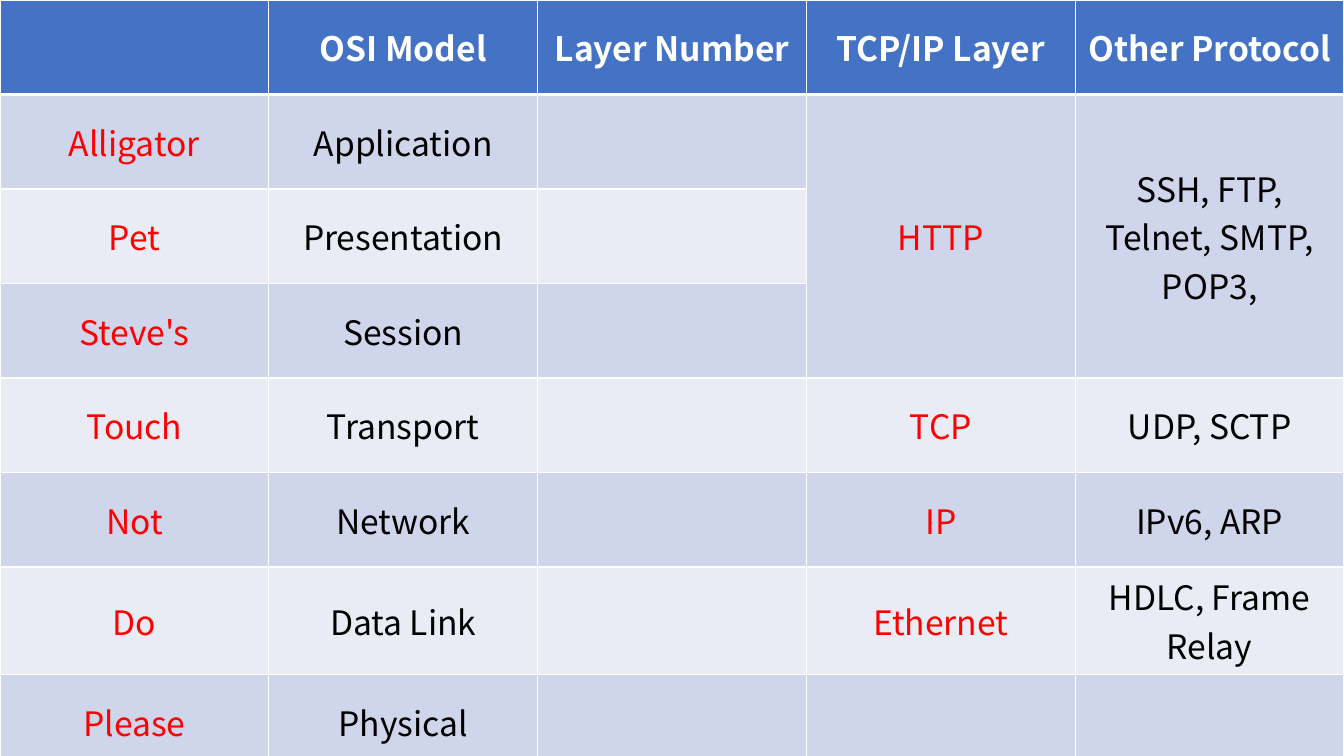
"""Build a one-slide table that matches OSI layers with TCP/IP layers."""
from dataclasses import dataclass

from lxml import etree
from pptx import Presentation
from pptx import util as u
from pptx.dml import color
from pptx.enum import text
from pptx.oxml import ns


@dataclass(frozen=True)
class Theme:
    font: str = "Noto Sans CJK KR"
    size: int = 24
    header: str = "4472C4"
    bands: tuple = ("E9EBF5", "CFD5EA")
    white: str = "FFFFFF"
    black: str = "000000"
    accent: str = "FF0000"
    thin: int = 1
    thick: int = 3


THEME = Theme()
ROWS = [
    ["", "OSI Model", "Layer Number", "TCP/IP Layer", "Other Protocol"],
    ["Alligator", "Application", "", "HTTP", "SSH, FTP, Telnet, SMTP, POP3,"],
    ["Pet", "Presentation", "", "", ""],
    ["Steve's", "Session", "", "", ""],
    ["Touch", "Transport", "", "TCP", "UDP, SCTP"],
    ["Not", "Network", "", "IP", "IPv6, ARP"],
    ["Do", "Data Link", "", "Ethernet", "HDLC, Frame Relay"],
    ["Please", "Physical", "", "", ""],
]
ACCENT_COLUMNS = (0, 3)
MERGED_COLUMNS = (3, 4)
WIDTH, HEIGHT = u.Cm(33.87), u.Cm(19.05)


def add_border(cell, side, points):
    properties = cell._tc.get_or_add_tcPr()
    line = etree.SubElement(properties, ns.qn(f"a:ln{side}"), w=str(u.Pt(points)))
    fill = etree.SubElement(line, ns.qn("a:solidFill"))
    etree.SubElement(fill, ns.qn("a:srgbClr"), val=THEME.white)


deck = Presentation()
deck.slide_width, deck.slide_height = WIDTH, HEIGHT
page = deck.slides.add_slide(deck.slide_layouts[6])
table = page.shapes.add_table(len(ROWS), len(ROWS[0]), 0, 0, WIDTH, HEIGHT).table

for row, labels in enumerate(ROWS):
    for column, label in enumerate(labels):
        cell = table.cell(row, column)
        for side in "LRTB":
            below_header = (row, side) in ((0, "B"), (1, "T"))
            add_border(cell, side, THEME.thick if below_header else THEME.thin)
        cell.fill.solid()
        shade = THEME.bands[row % 2] if row else THEME.header
        cell.fill.fore_color.rgb = color.RGBColor.from_string(shade)
        cell.vertical_anchor = text.MSO_ANCHOR.MIDDLE
        if not label:
            continue
        cell.text_frame.text = label
        para = cell.text_frame.paragraphs[0]
        para.alignment = text.PP_ALIGN.CENTER
        font = para.runs[0].font
        font.name, font.size, font.bold = THEME.font, u.Pt(THEME.size), row == 0
        body = THEME.accent if column in ACCENT_COLUMNS else THEME.black
        font.color.rgb = color.RGBColor.from_string(body if row else THEME.white)

for column in MERGED_COLUMNS:
    table.cell(1, column).merge(table.cell(3, column))

deck.save("out.pptx")
